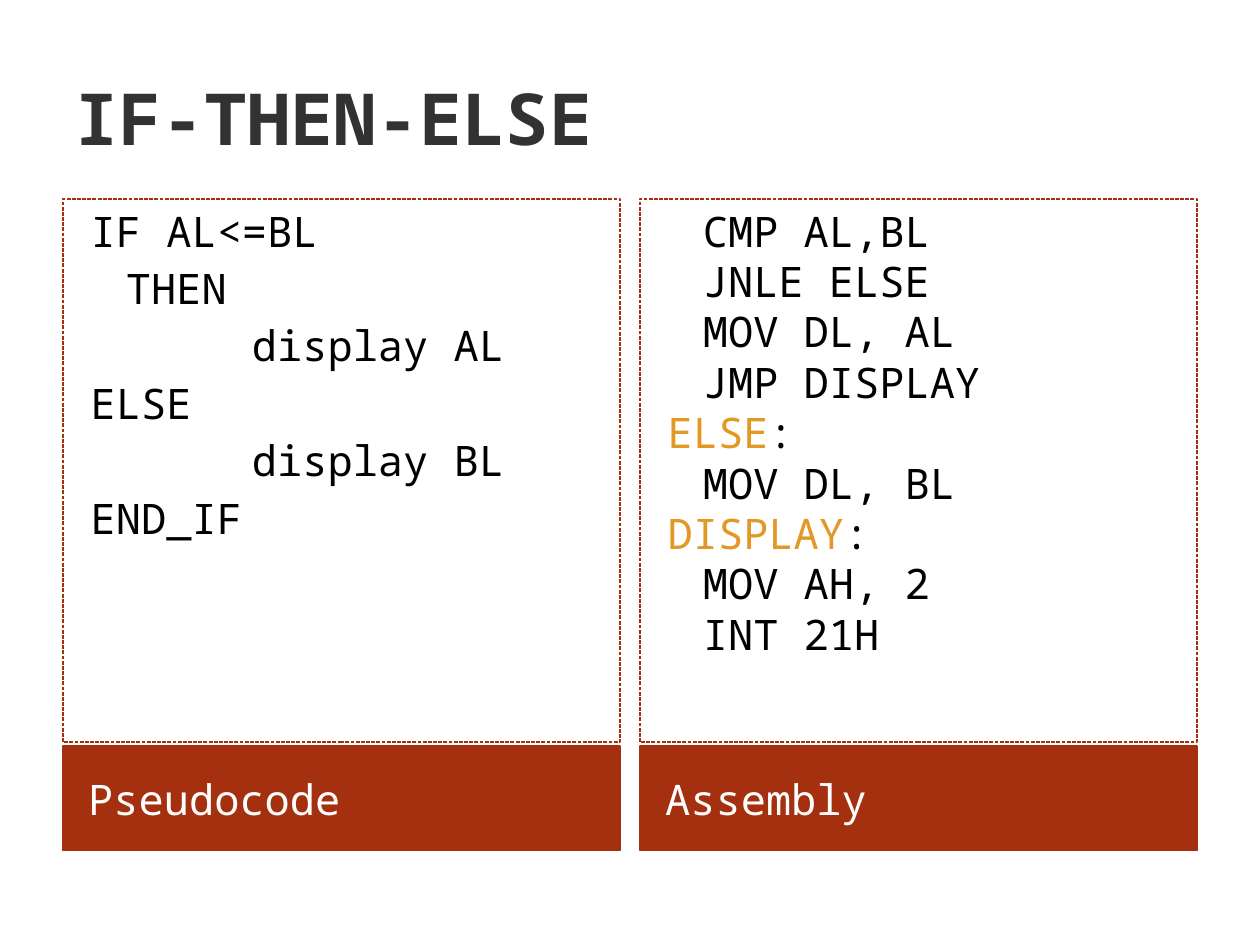
from pptx import Presentation
from pptx.dml.color import RGBColor
from pptx.enum.dml import MSO_LINE
from pptx.enum.shapes import MSO_SHAPE
from pptx.enum.text import MSO_ANCHOR, PP_ALIGN
from pptx.util import Cm, Pt

RUST = RGBColor(0xA5, 0x30, 0x0F)
AMBER = RGBColor(0xE1, 0x98, 0x25)
CHARCOAL = RGBColor(0x32, 0x32, 0x32)
BLACK = RGBColor(0, 0, 0)
WHITE = RGBColor(0xFF, 0xFF, 0xFF)

# Left margin and first-line indent of each code level, in cm
LEVELS = [(1.02, -0.71), (1.02, 0), (3.56, 0)]

PSEUDOCODE = [
    (0, "IF AL<=BL"),
    (1, "THEN"),
    (2, "display AL"),
    (0, "ELSE"),
    (2, "display BL"),
    (0, "END_IF"),
]
ASSEMBLY = [
    (1, "CMP AL,BL"),
    (1, "JNLE ELSE"),
    (1, "MOV DL, AL"),
    (1, "JMP DISPLAY"),
    (0, "ELSE:"),
    (1, "MOV DL, BL"),
    (0, "DISPLAY:"),
    (1, "MOV AH, 2"),
    (1, "INT 21H"),
]


class CodeSlide:
    font = "Noto Sans Mono"
    size = Pt(24)

    def __init__(self, prs):
        self.s = prs.slides.add_slide(prs.slide_layouts[5])

    def style(self, r, color, size=None, bold=False):
        r.font.name = self.font
        r.font.size = size or self.size
        r.font.bold = bold
        r.font.color.rgb = color

    def title(self, text):
        sp = self.s.shapes.title
        sp.left, sp.top, sp.width, sp.height = Cm(1.27), Cm(0.76), Cm(22.86), Cm(3.18)
        tf = sp.text_frame
        tf.text = text
        tf.vertical_anchor = MSO_ANCHOR.MIDDLE
        p = tf.paragraphs[0]
        p.alignment = PP_ALIGN.LEFT
        self.style(p.runs[0], CHARCOAL, Pt(41), True)

    def box(self, left, top, height):
        sp = self.s.shapes.add_shape(
            MSO_SHAPE.RECTANGLE, Cm(left), Cm(top), Cm(11.23), Cm(height))
        sp.shadow.inherit = False
        sp.line.color.rgb = RUST
        sp.line.width = Pt(0.75)
        sp.text_frame.word_wrap = True
        return sp

    def caption(self, left, text):
        sp = self.box(left, 15.04, 2.11)
        sp.fill.solid()
        sp.fill.fore_color.rgb = RUST
        tf = sp.text_frame
        tf.text = text
        tf.margin_left = Cm(0.51)
        tf.vertical_anchor = MSO_ANCHOR.MIDDLE
        p = tf.paragraphs[0]
        p.alignment = PP_ALIGN.LEFT
        self.style(p.runs[0], WHITE)

    def code(self, left, lines, gap):
        """Dashed listing; labels ending in a colon are highlighted."""
        sp = self.box(left, 4.01, 10.95)
        sp.fill.background()
        sp.line.dash_style = MSO_LINE.SQUARE_DOT
        tf = sp.text_frame
        tf.vertical_anchor = MSO_ANCHOR.TOP
        for i, (level, text) in enumerate(lines):
            p = tf.add_paragraph() if i else tf.paragraphs[0]
            p.alignment = PP_ALIGN.LEFT
            p.space_before = Pt(gap)
            p.line_spacing = Pt(28.8)
            margin, indent = LEVELS[level]
            pPr = p._p.get_or_add_pPr()
            pPr.set("marL", str(Cm(margin)))
            pPr.set("indent", str(Cm(indent)))
            label, colon, _ = text.partition(":")
            parts = [(label, AMBER), (colon, BLACK)] if colon else [(text, BLACK)]
            for part, color in parts:
                r = p.add_run()
                r.text = part
                self.style(r, color)


def main():
    prs = Presentation()
    prs.slide_width, prs.slide_height = Cm(25.4), Cm(19.05)
    slide = CodeSlide(prs)
    slide.title("IF-THEN-ELSE")
    columns = [(1.27, "Pseudocode", PSEUDOCODE, 4), (12.9, "Assembly", ASSEMBLY, 0)]
    for left, name, lines, gap in columns:
        slide.caption(left, name)
        slide.code(left, lines, gap)
    prs.save("out.pptx")


if __name__ == "__main__":
    main()
